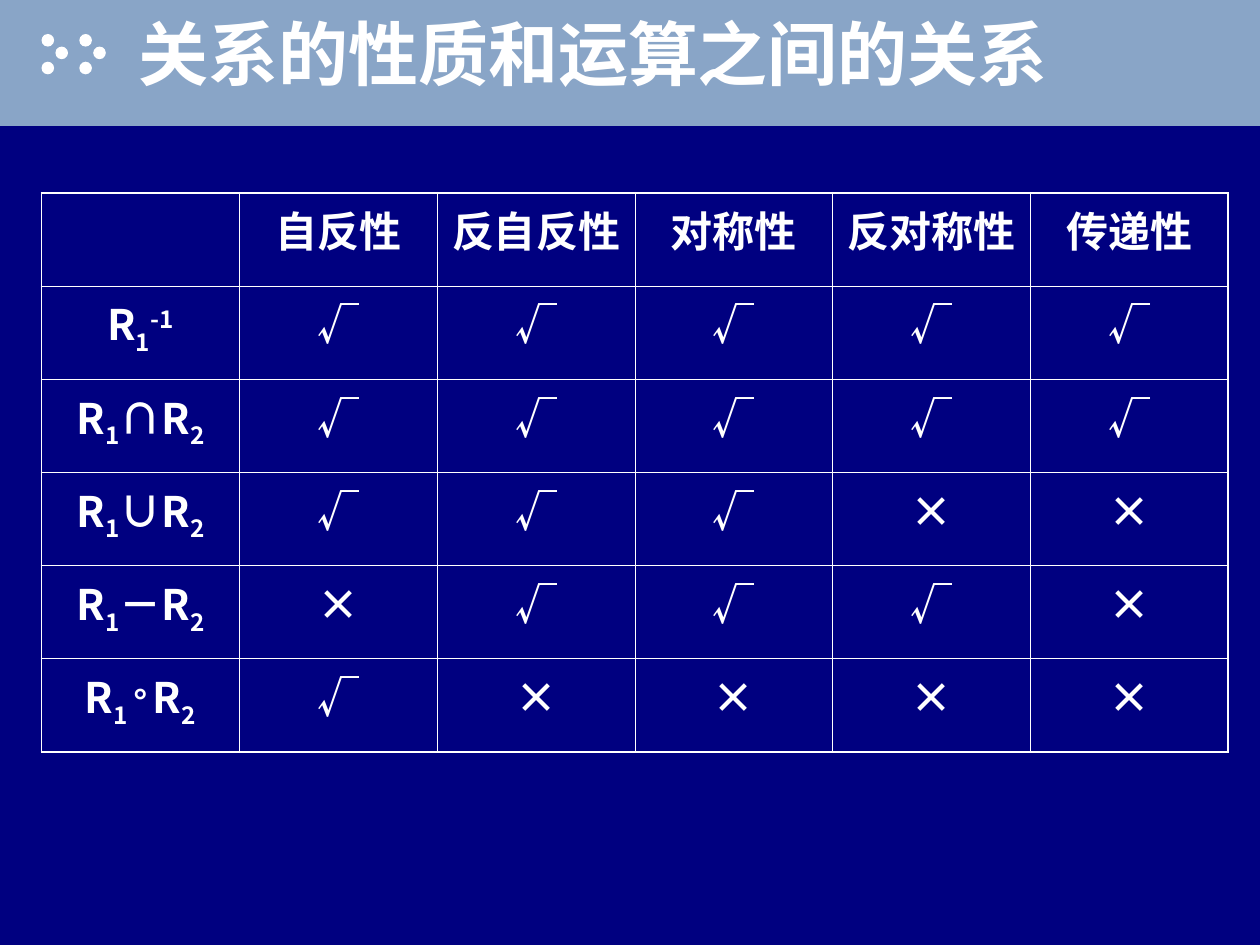
from lxml import etree
from pptx import Presentation
from pptx.dml.color import RGBColor
from pptx.enum.shapes import MSO_SHAPE
from pptx.enum.text import MSO_ANCHOR, MSO_AUTO_SIZE, PP_ALIGN
from pptx.oxml.ns import qn
from pptx.util import Inches, Pt

RECTANGLE, OVAL = MSO_SHAPE.RECTANGLE, MSO_SHAPE.OVAL
MIDDLE, NO_FIT = MSO_ANCHOR.MIDDLE, MSO_AUTO_SIZE.NONE
LEFT, CENTER = PP_ALIGN.LEFT, PP_ALIGN.CENTER
TITLE_ONLY = 5
NAVY, BAND, WHITE, SHADOW = "000080", "89A5C7", "FFFFFF", "000000"
SUB, SUPER = -25, 30
THIN, THICK = 0.45, 1.08

HEADINGS = ["", "自反性", "反自反性", "对称性", "反对称性", "传递性"]
RELATIONS = [
    ([("R", 0), ("1", SUB), ("-1", SUPER)], "√√√√√"),
    ([("R", 0), ("1", SUB), ("∩R", 0), ("2", SUB)], "√√√√√"),
    ([("R", 0), ("1", SUB), ("∪R", 0), ("2", SUB)], "√√√××"),
    ([("R", 0), ("1", SUB), ("－R", 0), ("2", SUB)], "×√√√×"),
    ([("R", 0), ("1 ", SUB), ("°", 0), (" ", SUB), ("R", 0), ("2", SUB)], "√××××"),
]


def color(value):
    """Turn a hex string into a colour."""
    return RGBColor.from_string(value)


class SlideBuilder:
    """Hold the style and the current slide."""

    font = "Noto Sans CJK SC"
    symbol_font = "Arial"

    def __init__(self, page):
        """Start on a page with a plain background."""
        self.page = page
        page.background.fill.solid()
        page.background.fill.fore_color.rgb = color(NAVY)

    def style(self, span, size, name):
        """Format one run in bold white."""
        span.font.size = Pt(size)
        span.font.bold = True
        span.font.color.rgb = color(WHITE)
        span.font.name = name
        properties = span._r.get_or_add_rPr()
        east_asian = etree.Element(qn("a:ea"), typeface=name)
        properties.find(qn("a:latin")).addnext(east_asian)
        return properties

    def shape(self, shapes, kind, left, top, width, height, fill):
        """Add a filled shape without outline."""
        item = shapes.add_shape(kind, Inches(left), Inches(top), Inches(width), Inches(height))
        item.shadow.inherit = False
        item.fill.solid()
        item.fill.fore_color.rgb = color(fill)
        item.line.fill.background()

    def dots(self):
        """Add the two arrow-like groups of three dots."""
        group = self.page.shapes.add_group_shape()
        for start in (0.33, 0.63):
            for shift, top in ((0, 0.27), (0.11, 0.37), (0, 0.49)):
                self.shape(group.shapes, OVAL, start + shift, top, 0.1, 0.1, WHITE)

    def title(self, text):
        """Fill the title placeholder and bring it above the band."""
        box = self.page.shapes.title
        box.left, box.top, box.width, box.height = Inches(1), Inches(0), Inches(9), Inches(0.83)
        frame = box.text_frame
        frame.text = text
        frame.auto_size = NO_FIT
        frame.vertical_anchor = MIDDLE
        para = frame.paragraphs[0]
        para.alignment = LEFT
        properties = self.style(para.runs[0], 40, self.font)
        effects = etree.Element(qn("a:effectLst"))
        shadow = etree.SubElement(effects, qn("a:outerShdw"), dist="38100", dir="2700000")
        etree.SubElement(shadow, qn("a:srgbClr"), val=SHADOW)
        properties.find(qn("a:solidFill")).addnext(effects)
        self.page.shapes._spTree.append(box._element)

    def borders(self, cell, outer):
        """Draw the four cell borders, thick on the outer sides."""
        properties = cell._tc.get_or_add_tcPr()
        for side in "LRTB":
            width = Pt(THICK if side in outer else THIN)
            line = etree.SubElement(properties, qn("a:ln" + side), w=str(width))
            fill = etree.SubElement(line, qn("a:solidFill"))
            etree.SubElement(fill, qn("a:srgbClr"), val=WHITE)

    def cell(self, cell, spans, outer):
        """Write runs with their baselines into a table cell."""
        self.borders(cell, outer)
        cell.fill.background()
        para = cell.text_frame.paragraphs[0]
        para.alignment = CENTER
        for text, baseline in spans:
            span = para.add_run()
            span.text = text
            is_circle = text == "°"
            size, name = (20, self.symbol_font) if is_circle else (24, self.font)
            properties = self.style(span, size, name)
            if baseline:
                properties.set("baseline", str(baseline * 1000))

    def table(self, rows, left, top, width, height):
        """Add a table of equal rows and columns."""
        last_row, last_column = len(rows) - 1, len(rows[0]) - 1
        table = self.page.shapes.add_table(
            len(rows), len(rows[0]), Inches(left), Inches(top), Inches(width), Inches(height)
        ).table
        table.first_row = table.horz_banding = False
        for i, row in enumerate(rows):
            for j, spans in enumerate(row):
                sides = {"T": i == 0, "B": i == last_row, "L": j == 0, "R": j == last_column}
                outer = [side for side, edge in sides.items() if edge]
                self.cell(table.cell(i, j), spans, outer)


def main():
    """Build the slide and save it."""
    deck = Presentation()
    deck.slide_width, deck.slide_height = Inches(10), Inches(7.5)
    builder = SlideBuilder(deck.slides.add_slide(deck.slide_layouts[TITLE_ONLY]))
    builder.shape(builder.page.shapes, RECTANGLE, 0, 0, 10, 1, BAND)
    builder.dots()
    builder.title("关系的性质和运算之间的关系")
    rows = [[[(text, 0)] if text else [] for text in HEADINGS]]
    rows += [[label] + [[(mark, 0)] for mark in marks] for label, marks in RELATIONS]
    builder.table(rows, 0.33, 1.53, 9.42, 4.44)
    deck.save("out.pptx")


if __name__ == "__main__":
    main()
